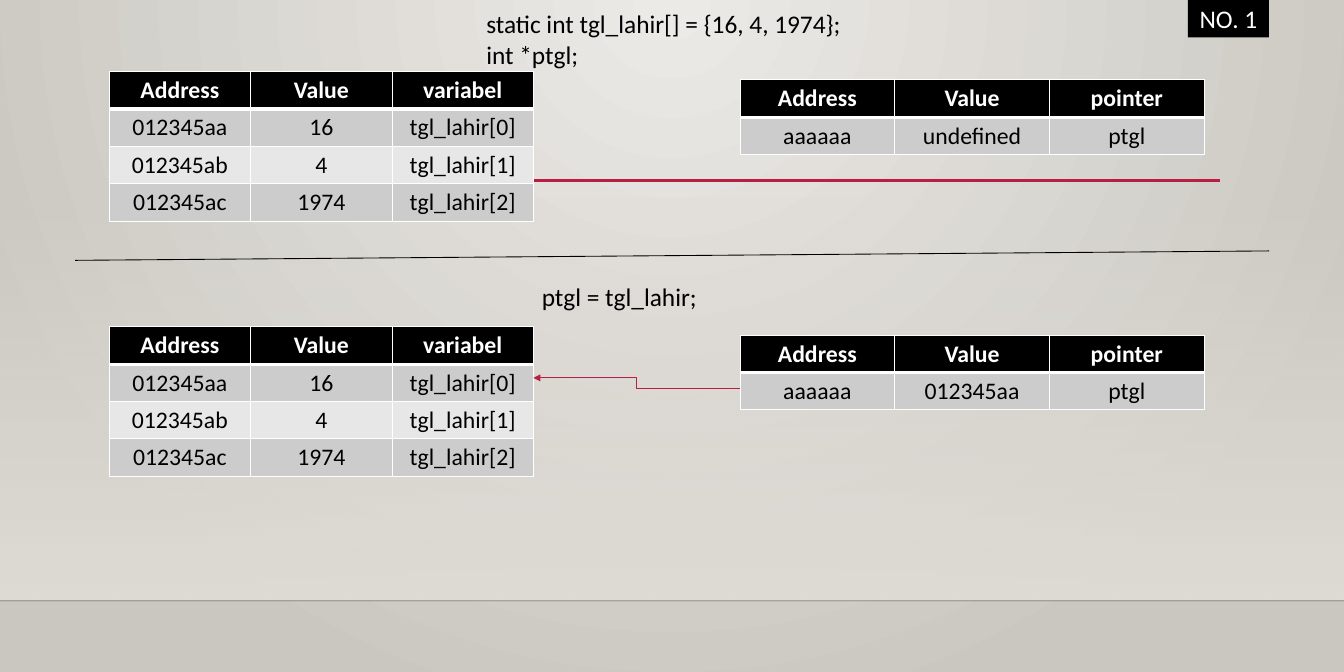
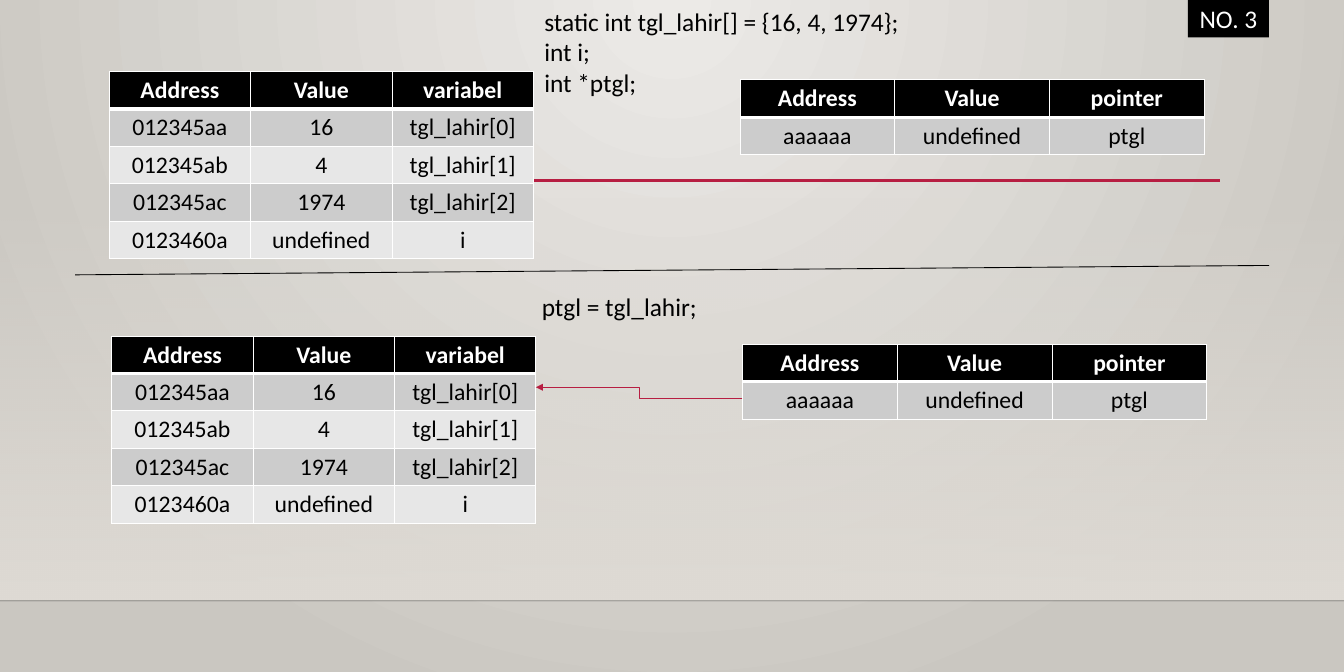
from dataclasses import dataclass

from lxml.etree import SubElement
from pptx import Presentation
from pptx.dml.color import RGBColor as RGB
from pptx.enum.shapes import MSO_CONNECTOR as Link, MSO_SHAPE as Shape
from pptx.enum.text import MSO_ANCHOR as Anchor, MSO_AUTO_SIZE as AutoSize, PP_ALIGN as Align
from pptx.oxml.ns import qn
from pptx.util import Cm, Pt

WIDTH, HEIGHT = Cm(40), Cm(20)


@dataclass(frozen=True)
class Theme:
    font: str = "Calibri"
    code_size: float = 21.4
    table_size: float = 20
    black: str = "000000"
    white: str = "FFFFFF"
    accent: str = "B71E42"
    odd_row: str = "CCCCCC"
    even_row: str = "E7E7E7"
    glow: str = "ECEAE7"
    edge: str = "CAC7C1"
    wall: str = "DFDBD5"
    floor: str = "000001"


THEME = Theme()

# All lengths are percentages of the slide's width or height
ROW = 5.56
LINE = 4.6
CODE_WIDTH = 28.96
ARRAY_WIDTH = 31.56
POINTER_WIDTH = 34.54
POINTER_SHIFT = 46.93, 1.23
ARROW_DROPS = 9.2, 7.6
DIVIDER_RISE = 1.4

ARRAY_ROWS = [
    ("Address", "Value", "variabel"),
    ("012345aa", "16", "tgl_lahir[0]"),
    ("012345ab", "4", "tgl_lahir[1]"),
    ("012345ac", "1974", "tgl_lahir[2]"),
]
COUNTER_ROW = ("0123460a", "undefined", "i")
ARRAY_CODE = "static int tgl_lahir[] = {16, 4, 1974};"
POINTER_CODE = "int *ptgl;"


def across(share):
    return round(WIDTH * share / 100)


def down(share):
    return round(HEIGHT * share / 100)


def place(left, top, width, height):
    return across(left), down(top), across(width), down(height)


def style(paragraph, size, color, bold=False, align=None):
    paragraph.alignment = align
    font = paragraph.font
    font.name, font.size, font.bold = THEME.font, Pt(size), bold
    font.color.rgb = RGB.from_string(color)


def set_alpha(color_element, percent):
    SubElement(color_element, qn("a:alpha"), val=str(percent * 1000))


def set_gradient(fill, *colors):
    fill.gradient()
    for stop, color in zip(fill.gradient_stops, colors):
        stop.color.rgb = RGB.from_string(color)
    for stop, position in zip(fill.gradient_stops, (0, 1)):
        stop.position = position


def add_line(slide, start, end, color, weight, kind=Link.STRAIGHT):
    line = slide.shapes.add_connector(
        kind, across(start[0]), down(start[1]), across(end[0]), down(end[1]))
    line.line.color.rgb = RGB.from_string(color)
    line.line.width = Pt(weight)
    SubElement(line.element.spPr, qn("a:effectLst"))
    return line


def set_master_background(master):
    """Circular glow from the top centre."""
    set_gradient(master.background.fill, THEME.glow, THEME.edge)
    gradient = next(master.element.iter(qn("a:gradFill")))
    gradient.remove(gradient.find(qn("a:lin")))
    circle = SubElement(gradient, qn("a:path"), path="circle")
    SubElement(circle, qn("a:fillToRect"), l="43000", t="0", r="43000", b="100000")


def add_backdrop(slide):
    # Wall fading in towards the floor
    wall = slide.shapes.add_shape(Shape.RECTANGLE, *place(0, 29.46, 100, 59.82))
    wall.shadow.inherit = False
    wall.line.fill.background()
    set_gradient(wall.fill, THEME.wall, THEME.wall)
    wall.fill.gradient_angle = 270
    set_alpha(next(wall.element.iter(qn("a:srgbClr"))), 0)

    # Floor edge and title rule
    floor = add_line(slide, (0, 89.41), (100, 89.41), THEME.floor, 1)
    set_alpha(next(floor.element.iter(qn("a:srgbClr"))), 20)
    add_line(slide, (11.94, 26.92), (90.74, 26.92), THEME.accent, 2.5)


def add_tag(slide, text):
    tag = slide.shapes.add_shape(Shape.RECTANGLE, *place(88.39, -0.25, 6.03, 5.84))
    tag.shadow.inherit = False
    tag.fill.solid()
    tag.fill.fore_color.rgb = RGB.from_string(THEME.black)
    tag.line.fill.background()
    frame = tag.text_frame
    frame.text = text
    frame.vertical_anchor = Anchor.MIDDLE
    frame.auto_size = AutoSize.SHAPE_TO_FIT_TEXT
    style(frame.paragraphs[0], THEME.code_size, THEME.white, align=Align.CENTER)


def add_code(slide, left, top, lines):
    height = LINE * len(lines) + 1.25
    box = slide.shapes.add_textbox(*place(left, top, CODE_WIDTH, height))
    frame = box.text_frame
    frame.word_wrap = True
    frame.auto_size = AutoSize.SHAPE_TO_FIT_TEXT
    frame.text = "\n".join(lines)
    for paragraph in frame.paragraphs:
        style(paragraph, THEME.code_size, THEME.black)


def set_borders(cell, top, bottom):
    properties = cell._tc.get_or_add_tcPr()
    for side, weight in (("L", 1), ("R", 1), ("T", top), ("B", bottom)):
        border = SubElement(properties, qn(f"a:ln{side}"), w=str(Pt(weight)))
        solid = SubElement(border, qn("a:solidFill"))
        SubElement(solid, qn("a:srgbClr"), val=THEME.white)


def add_memory_table(slide, left, top, width, rows):
    frame = slide.shapes.add_table(
        len(rows), len(rows[0]), *place(left, top, width, ROW * len(rows)))
    for i, row in enumerate(rows):
        header = i == 0
        fill = THEME.black if header else THEME.odd_row if i % 2 else THEME.even_row
        for j, text in enumerate(row):
            cell = frame.table.cell(i, j)
            cell.text = text
            set_borders(cell, top=3 if i == 1 else 1, bottom=3 if header else 1)
            cell.fill.solid()
            cell.fill.fore_color.rgb = RGB.from_string(fill)
            style(cell.text_frame.paragraphs[0], THEME.table_size,
                  THEME.white if header else THEME.black, header, Align.CENTER)


def add_memory(slide, left, top, rows, pointer_value):
    """Array table with the pointer table to its right."""
    add_memory_table(slide, left, top, ARRAY_WIDTH, rows)
    pointer_rows = [("Address", "Value", "pointer"), ("aaaaaa", pointer_value, "ptgl")]
    add_memory_table(slide, left + POINTER_SHIFT[0], top + POINTER_SHIFT[1],
                     POINTER_WIDTH, pointer_rows)


def add_pointer_arrow(slide, left, top):
    start = left + POINTER_SHIFT[0], top + ARROW_DROPS[0]
    end = left + ARRAY_WIDTH, top + ARROW_DROPS[1]
    arrow = add_line(slide, start, end, THEME.accent, 0.75, Link.ELBOW)
    SubElement(arrow.line._get_or_add_ln(), qn("a:tailEnd"), type="triangle")


def add_pointer_slide(presentation, tag, rows, code, code_at, divider_top,
                      assignment_top, after_at, after_value):
    slide = presentation.slides.add_slide(presentation.slide_layouts[6])
    add_backdrop(slide)
    add_tag(slide, tag)

    # Before the assignment
    add_memory(slide, 8.13, 10.67, rows, "undefined")
    add_code(slide, *code_at, code)
    add_line(slide, (5.59, divider_top + DIVIDER_RISE), (94.43, divider_top),
             THEME.black, 0.75)

    # After the assignment
    add_code(slide, 39.69, assignment_top, ["ptgl = tgl_lahir;"])
    add_memory(slide, *after_at, rows, after_value)
    add_pointer_arrow(slide, *after_at)


def main():
    presentation = Presentation()
    presentation.slide_width, presentation.slide_height = WIDTH, HEIGHT
    set_master_background(presentation.slide_master)
    add_pointer_slide(
        presentation, "NO. 1", ARRAY_ROWS, [ARRAY_CODE, POINTER_CODE],
        code_at=(35.56, 0.64), divider_top=37.34, assignment_top=41.15,
        after_at=(8.13, 48.64), after_value="012345aa")
    add_pointer_slide(
        presentation, "NO. 3", ARRAY_ROWS + [COUNTER_ROW],
        [ARRAY_CODE, "int i;", POINTER_CODE],
        code_at=(39.88, 0.25), divider_top=39.5, assignment_top=42.67,
        after_at=(8.32, 50.04), after_value="undefined")
    presentation.save("out.pptx")


if __name__ == "__main__":
    main()
